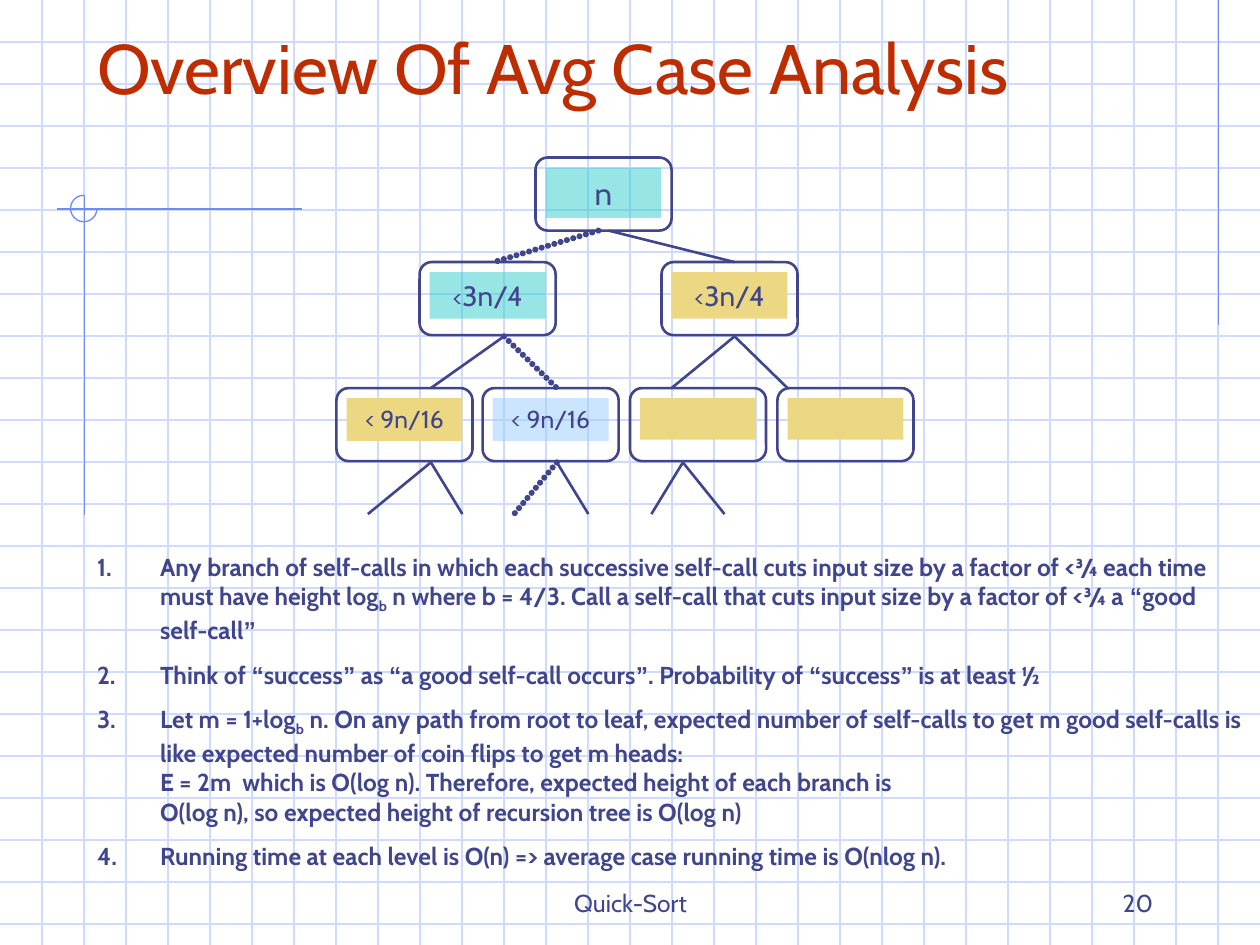
from itertools import groupby
from lxml.etree import SubElement as Sub
from pptx import Presentation
from pptx.dml.color import RGBColor
from pptx.enum.shapes import MSO_CONNECTOR as Link, MSO_SHAPE as Kind
from pptx.enum.text import MSO_ANCHOR as Anchor, MSO_AUTO_SIZE as Auto, PP_ALIGN as Align
from pptx.oxml.ns import qn
from pptx.util import Inches, Pt

INK = RGBColor(0x40, 0x45, 0x8C)
RUST = RGBColor(0xBE, 0x2D, 0x00)
GRID = RGBColor(0xCF, 0xDB, 0xFD)
BLUE = RGBColor(0x6F, 0x89, 0xF7)
TEAL = RGBColor(0x33, 0xCC, 0xCC)
SKY = RGBColor(0x99, 0xCC, 0xFF)
SAND = RGBColor(0xEC, 0xD8, 0x82)
FACE = "Cabin"

THREE = [("<", 14), ("3n/4", 16)]
NINE = [("< 9n/16", 14)]
NODES = [
    (4.25, 1.25, 0.4, TEAL, [("n", 18)]),
    (3.33, 2.08, 0.37, TEAL, THREE),
    (5.25, 2.08, 0.37, SAND, THREE),
    (2.67, 3.08, 0.34, SAND, NINE),
    (3.83, 3.08, 0.34, SKY, NINE),
    (5, 3.08, 0.33, SAND, []),
    (6.17, 3.08, 0.33, SAND, []),
]
EDGES = [
    (4.83, 1.83, 5.83, 2.08, False),
    (4.75, 1.83, 3.92, 2.08, True),
    (4, 2.67, 3.42, 3.08, False),
    (4, 2.67, 4.42, 3.08, True),
    (5.83, 2.67, 5.33, 3.08, False),
    (5.83, 2.67, 6.25, 3.08, False),
    (3.42, 3.67, 2.92, 4.08, False),
    (3.42, 3.67, 3.67, 4.08, False),
    (4.42, 3.67, 4.08, 4.08, True),
    (4.42, 3.67, 4.67, 4.08, False),
    (5.42, 3.67, 5.17, 4.08, False),
    (5.42, 3.67, 5.75, 4.08, False),
]
POINTS = [
    "Any branch of self-calls in which each successive self-call cuts input size "
    "by a factor of <¾ each time must have height log~b~ n where b = 4/3. Call a "
    "self-call that cuts input size by a factor of <¾ a “good self-call”",
    "Think of “success” as “a good self-call occurs”. Probability of “success” "
    "is at least ½",
    "Let m = 1+log~b~ n. On any path from root to leaf, expected number of "
    "self-calls to get m good self-calls is like expected number of coin flips "
    "to get m heads: \vE = 2m  which is O(log n). Therefore, expected height of "
    "each branch is \vO(log n), so expected height of recursion tree is O(log n)",
    "Running time at each level is O(n) => average case running time is O(nlog n).",
]


def place(shape, *box):
    """Move and size a shape, in inches."""
    shape.left, shape.top, shape.width, shape.height = map(Inches, box)


def style(para, size=None, hue=INK, bold=False):
    """Set the font of a whole paragraph."""
    font = para.font
    font.name, font.bold = FACE, bold
    font.color.rgb = hue
    if size:
        font.size = Pt(size)


def rule(slide, x1, y1, x2, y2, hue, wide=0.75, dots=False):
    """Draw a straight line, dotted if asked."""
    ends = map(Inches, (x1, y1, x2, y2))
    link = slide.shapes.add_connector(Link.STRAIGHT, *ends)
    link.line.color.rgb = hue
    link.line.width = Pt(wide)
    if dots:
        ln = link.line._get_or_add_ln()
        ln.set("cap", "rnd")
        dash = Sub(ln, qn("a:custDash"))
        Sub(dash, qn("a:ds"), d="100000", sp="8000")
    Sub(link._element.spPr, qn("a:effectLst"))


def form(slide, kind, box, hue=None, edge=None, wide=0.75):
    """Add a preset shape with its own fill and line."""
    shape = slide.shapes.add_shape(kind, *map(Inches, box))
    shape.shadow.inherit = False
    if hue is None:
        shape.fill.background()
    else:
        shape.fill.solid()
        shape.fill.fore_color.rgb = hue
    if edge is None:
        shape.line.fill.background()
    else:
        shape.line.color.rgb = edge
        shape.line.width = Pt(wide)
    return shape


def paper(slide):
    """Draw the squared paper and its blue corner marks."""
    for row in range(1, 23):
        rule(slide, 0, row / 3, 10, row / 3, GRID)
    for col in range(1, 30):
        rule(slide, col / 3, 0, col / 3, 7.5, GRID)
    for ends in ((9.67, 0, 9.67, 2.58), (2.4, 1.66, 0.45, 1.66), (0.67, 1.55, 0.67, 4.09)):
        rule(slide, *ends, BLUE)
    arc = form(slide, Kind.ARC, (0.56, 1.55, 0.21, 0.21), edge=BLUE)
    arc.adjustments[0] = 0
    arc.adjustments[1] = 162


def node(slide, x, y, high, hue, label):
    """Draw a tree node: a round frame around a coloured label."""
    form(slide, Kind.FLOWCHART_ALTERNATE_PROCESS, (x, y, 1.08, 0.58), edge=INK, wide=1.5)
    tile = form(slide, Kind.RECTANGLE, (x + 0.08, y + 0.08, 0.92, high), hue)
    if hue != SAND:
        tone = tile._element.spPr.find(".//" + qn("a:srgbClr"))
        Sub(tone, qn("a:alpha"), val="50000")
    if not label:
        return
    tile.text_frame.vertical_anchor = Anchor.TOP
    para = tile.text_frame.paragraphs[0]
    para.alignment = Align.CENTER
    style(para)
    for text, size in label:
        run = para.add_run()
        run.text = text
        run.font.size = Pt(size)
        run.font.color.rgb = INK


def foot(slide, box, text, align):
    """Add a footer text box."""
    frame = slide.shapes.add_textbox(*map(Inches, box)).text_frame
    frame.word_wrap = True
    frame.vertical_anchor = Anchor.BOTTOM
    para = frame.paragraphs[0]
    para.text, para.alignment = text, align
    style(para, 14)


def holder(slide, shape, box, anchor):
    """Place a placeholder in front and return its text frame."""
    slide.shapes._spTree.append(shape._element)
    place(shape, *box)
    frame = shape.text_frame
    frame.auto_size = Auto.NONE
    frame.word_wrap = True
    frame.vertical_anchor = anchor
    return frame


def sort(char):
    """Tell quotes and line breaks from plain letters."""
    return {"“": "quote", "”": "quote", "\v": "break"}.get(char, "plain")


def fill(para, text):
    """Write marked text: tildes hold subscripts, quotes are in Arial."""
    for spot, part in enumerate(text.split("~")):
        for kind, chars in groupby(part, sort):
            if kind == "break":
                para.add_line_break()
                continue
            run = para.add_run()
            run.text = "".join(chars)
            if kind == "quote":
                run.font.name = "Arial"
            if spot % 2:
                run.font._element.set("baseline", "-25000")


def points(frame):
    """Write the numbered list."""
    for rank, text in enumerate(POINTS):
        para = frame.add_paragraph() if rank else frame.paragraphs[0]
        fill(para, text)
        props = para._p.get_or_add_pPr()
        props.set("marL", str(Inches(0.5)))
        props.set("indent", str(Inches(-0.5)))
        tint = Sub(props, qn("a:buClr"))
        Sub(tint, qn("a:srgbClr"), val=str(INK))
        Sub(props, qn("a:buFont"), typeface=FACE)
        Sub(props, qn("a:buAutoNum"), type="arabicPeriod")
        para.space_before = Pt(8.8 if rank else 0)
        style(para, 14, bold=True)


def main():
    """Build the slide and save it."""
    deck = Presentation()
    deck.slide_width, deck.slide_height = Inches(10), Inches(7.5)
    slide = deck.slides.add_slide(deck.slide_layouts[1])
    title, body = slide.placeholders
    paper(slide)
    foot(slide, (3.42, 6.83, 3.17, 0.5), "Quick-Sort", Align.CENTER)
    foot(slide, (7.17, 6.83, 2.08, 0.5), "20", Align.RIGHT)
    head = holder(slide, title, (0.67, 0.33, 8.5, 1.25), Anchor.BOTTOM).paragraphs[0]
    head.text, head.alignment = "Overview Of Avg Case Analysis\v", Align.LEFT
    style(head, 40, RUST)
    for *ends, dots in EDGES:
        rule(slide, *ends, INK, 3.5 if dots else 1.5, dots)
    for item in NODES:
        node(slide, *item)
    points(holder(slide, body, (0.67, 4.33, 9.33, 3.02), Anchor.TOP))
    deck.save("out.pptx")


if __name__ == "__main__":
    main()
